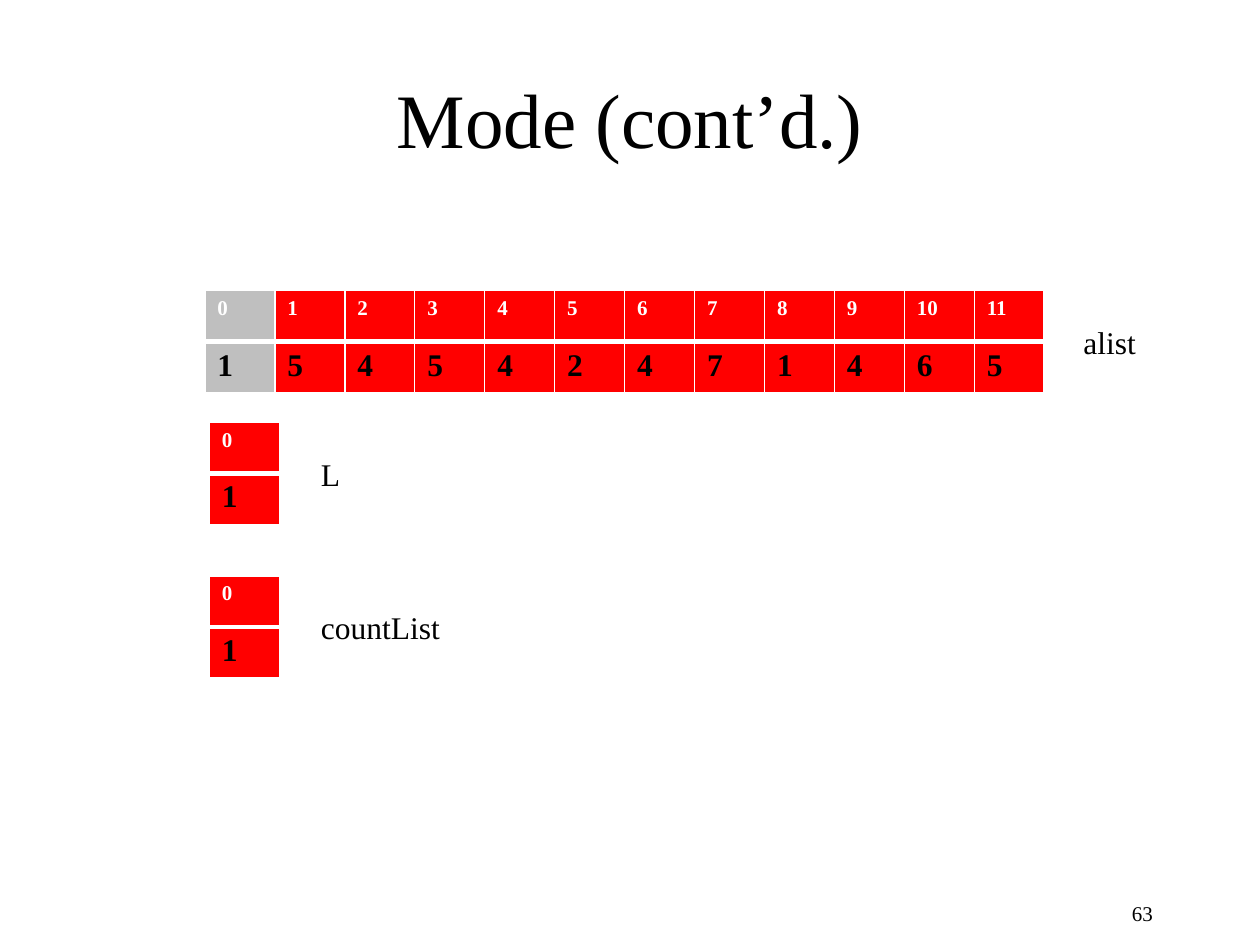
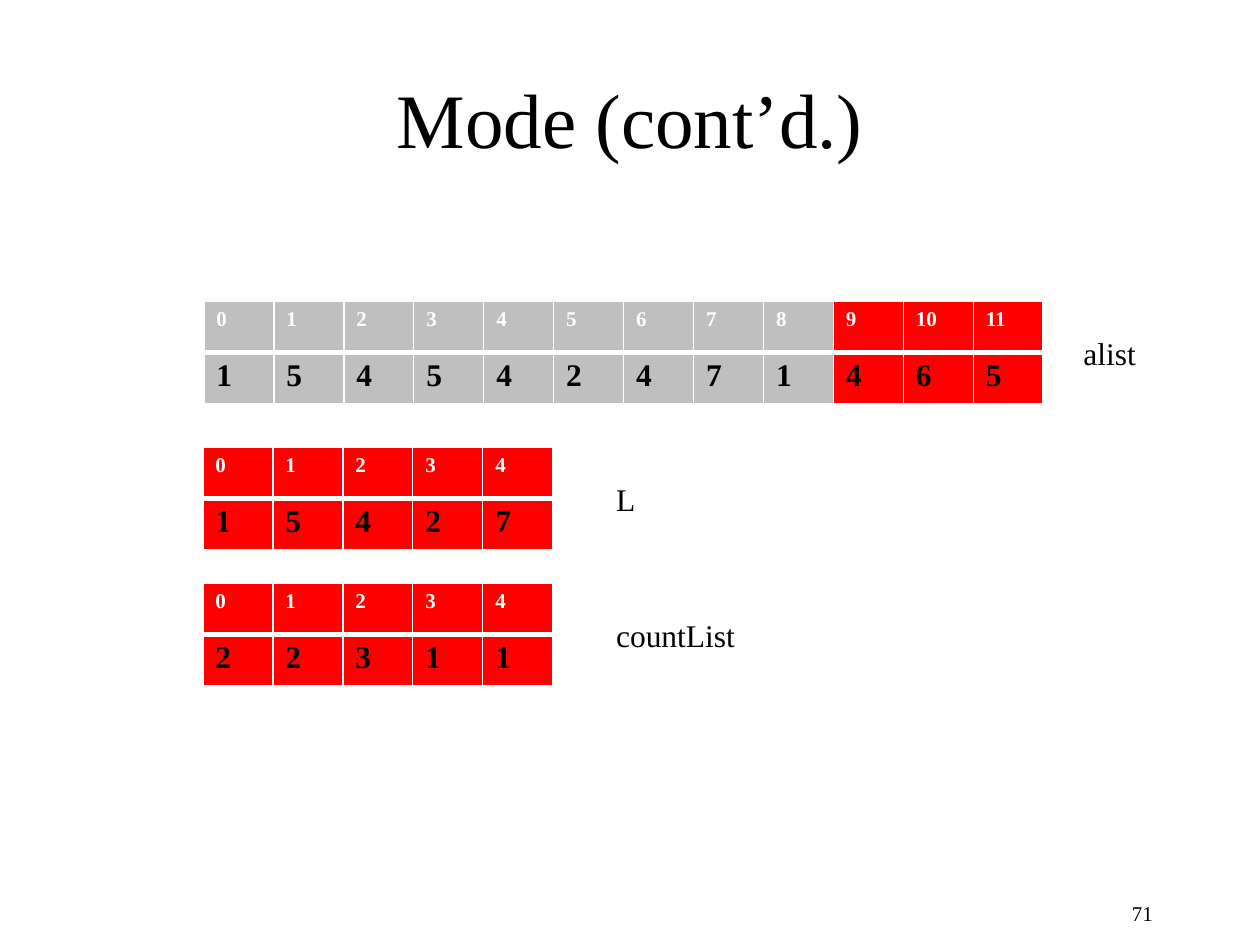
from lxml import etree
from pptx import Presentation
from pptx.dml.color import RGBColor
from pptx.enum.text import MSO_ANCHOR, MSO_AUTO_SIZE, PP_ALIGN
from pptx.oxml.ns import qn
from pptx.util import Cm, Pt

LEFT, CENTER, RIGHT = PP_ALIGN.LEFT, PP_ALIGN.CENTER, PP_ALIGN.RIGHT
TOP, MIDDLE = MSO_ANCHOR.TOP, MSO_ANCHOR.MIDDLE
GROW, FIXED = MSO_AUTO_SIZE.SHAPE_TO_FIT_TEXT, MSO_AUTO_SIZE.NONE

COLORS = {"text": "000000", "index": "FFFFFF", "border": "FFFFFF",
          "pending": "FF0000", "visited": "BFBFBF"}
FONT = "Times New Roman"
TITLE = "Mode (cont’d.)"

CELL_WIDTH, CELL_HEIGHT = 1.41, 1.03
LABEL_DROP, LABEL_HEIGHT = 0.53, 1.02
LABEL_WIDTHS = {"alist": 1.96, "L": 1.96, "countList": 3}
ALIST = [1, 5, 4, 5, 4, 2, 4, 7, 1, 4, 6, 5]

THIN, THICK = Pt(1), Pt(3)
INDEX_FORMAT = {"size": Pt(12), "bold": True}
VALUE_FORMAT = {"size": Pt(18), "bold": True}

STEPS = [
    {"page": 63, "visited": 1, "lists": [
        ("alist", ALIST, 4.13, 5.86, 21.59),
        ("L", [1], 4.22, 8.51, 6.22),
        ("countList", [1], 4.22, 11.61, 6.22)]},
    {"page": 71, "visited": 9, "lists": [
        ("alist", ALIST, 4.11, 6.07, 21.59),
        ("L", [1, 5, 4, 2, 7], 4.09, 9.02, 12.17),
        ("countList", [2, 2, 3, 1, 1], 4.09, 11.76, 12.17)]},
]


def write(frame, text, color, formats, align=LEFT):
    para = frame.paragraphs[0]
    para.alignment = align
    span = para.add_run()
    span.text = str(text)
    span.font.name = FONT
    span.font.color.rgb = RGBColor.from_string(COLORS[color])
    for name, value in formats.items():
        setattr(span.font, name, value)


def add_text(page, text, place, size, align=LEFT, anchor=TOP, fit=FIXED):
    box = page.shapes.add_textbox(*[Cm(length) for length in place])
    settings = {"word_wrap": True, "vertical_anchor": anchor, "auto_size": fit}
    for name, value in settings.items():
        setattr(box.text_frame, name, value)
    write(box.text_frame, text, "text", {"size": Pt(size)}, align)


def set_borders(cell, widths):
    properties = cell._tc.get_or_add_tcPr()
    for position, (side, width) in enumerate(widths.items()):
        line = etree.Element(qn(f"a:ln{side}"), w=str(width))
        fill = etree.SubElement(line, qn("a:solidFill"))
        etree.SubElement(fill, qn("a:srgbClr"), val=COLORS["border"])
        properties.insert(position, line)


def add_list_table(page, values, left, top, visited):
    count = len(values)
    frame = page.shapes.add_table(2, count, Cm(left), Cm(top),
                                  Cm(CELL_WIDTH * count), Cm(CELL_HEIGHT * 2))
    table = frame.table
    table.horz_banding = False
    for column in table.columns:
        column.width = Cm(CELL_WIDTH)
    rows = [(range(count), "index", INDEX_FORMAT, {"T": THIN, "B": THICK}),
            (values, "text", VALUE_FORMAT, {"T": THICK, "B": THIN})]
    for row, (contents, color, formats, edges) in enumerate(rows):
        for column, content in enumerate(contents):
            cell = table.cell(row, column)
            state = "visited" if column < visited else "pending"
            cell.fill.solid()
            cell.fill.fore_color.rgb = RGBColor.from_string(COLORS[state])
            set_borders(cell, {"L": THIN, "R": THIN, **edges})
            write(cell.text_frame, content, color, formats)


def add_list(page, name, values, left, top, label_left, visited):
    add_list_table(page, values, left, top, visited)
    place = (label_left, top + LABEL_DROP, LABEL_WIDTHS[name], LABEL_HEIGHT)
    add_text(page, name, place, 18, fit=GROW)


def add_step(deck, step):
    page = deck.slides.add_slide(deck.slide_layouts[6])
    add_text(page, TITLE, (1.9, 0.79, 21.6, 3.18), 44, CENTER, MIDDLE)
    for name, values, left, top, label_left in step["lists"]:
        visited = step["visited"] if name == "alist" else 0
        add_list(page, name, values, left, top, label_left, visited)
    add_text(page, step["page"], (18.21, 17.78, 5.28, 1.27), 12, RIGHT, MIDDLE)


def main():
    deck = Presentation()
    deck.slide_width, deck.slide_height = Cm(25.4), Cm(19.05)
    for step in STEPS:
        add_step(deck, step)
    deck.save("out.pptx")


if __name__ == "__main__":
    main()
